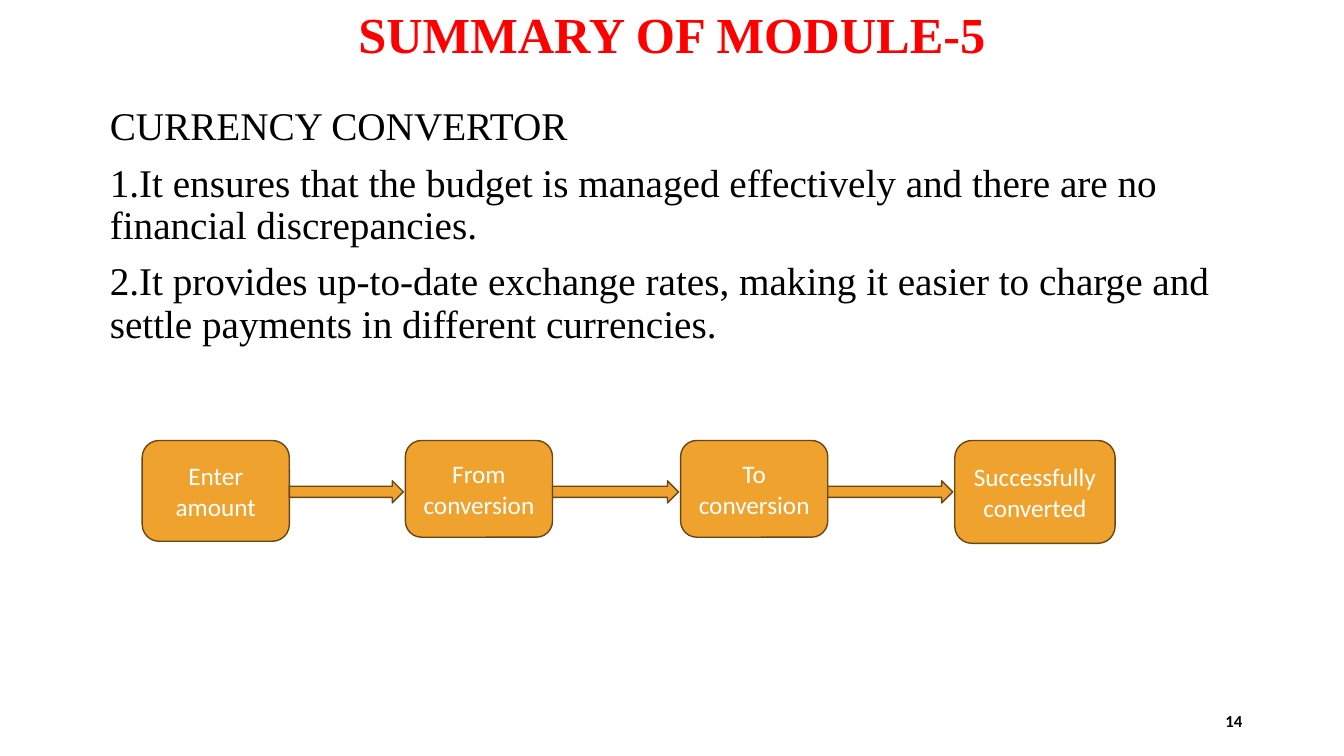
"""Build the module summary slide with its currency conversion flow."""
from dataclasses import dataclass
from itertools import pairwise

from pptx import Presentation
from pptx.dml.color import RGBColor
from pptx.enum.shapes import MSO_SHAPE
from pptx.enum.text import MSO_ANCHOR, PP_ALIGN
from pptx.util import Inches, Pt

WIDTH, HEIGHT = Inches(13.33), Inches(7.5)
SERIF, SANS = "Times New Roman", "Calibri"
ORANGE, BROWN, WHITE, BLACK, RED = "F0A22E", "694714", "FFFFFF", "000000", "FF0000"
STEP_TOP, ARROW_TOP, ARROW_HIGH, ARROW_GAP = 58.27, 63.6, 2.93, 0.15


@dataclass(frozen=True)
class Area:
    left: float
    top: float
    width: float
    height: float

    def place(self) -> tuple[int, int, int, int]:
        return (int(WIDTH * self.left / 100), int(HEIGHT * self.top / 100),
                int(WIDTH * self.width / 100), int(HEIGHT * self.height / 100))


@dataclass(frozen=True)
class Step:
    lines: tuple[str, ...]
    left: float
    width: float
    height: float


STEPS = (
    Step(("Enter amount",), 10.58, 10.95, 13.33),
    Step(("From", "conversion"), 30.16, 10.95, 12.8),
    Step(("To", "conversion"), 50.64, 10.95, 12.8),
    Step(("Successfully", "converted"), 71.04, 11.93, 13.6),
)
BODY = (
    "CURRENCY CONVERTOR",
    "1.It ensures that the budget is managed effectively and there are no financial discrepancies.",
    "2.It provides up-to-date exchange rates, making it easier to charge and settle payments"
    " in different currencies.",
)


def paint(code: str) -> RGBColor:
    return RGBColor.from_string(code)


def write(shape, lines: tuple[str, ...], *, size: float, font: str = SANS, color: str = BLACK,
          bold: bool = False, align=PP_ALIGN.LEFT, anchor=MSO_ANCHOR.MIDDLE,
          space: float = 1.0, before: float = 0) -> None:
    frame = shape.text_frame
    frame.word_wrap = True
    frame.vertical_anchor = anchor
    for index, line in enumerate(lines):
        para = frame.add_paragraph() if index else frame.paragraphs[0]
        para.alignment, para.line_spacing, para.space_before = align, space, Pt(before)
        run = para.add_run()
        run.text = line
        run.font.name, run.font.size, run.font.bold = font, Pt(size), bold
        run.font.color.rgb = paint(color)


def label(slide, area: Area, lines: tuple[str, ...], **style) -> None:
    write(slide.shapes.add_textbox(*area.place()), lines, **style)


def block(slide, kind: MSO_SHAPE, area: Area):
    shape = slide.shapes.add_shape(kind, *area.place())
    shape.shadow.inherit = False
    shape.fill.solid()
    shape.fill.fore_color.rgb = paint(ORANGE)
    shape.line.color.rgb = paint(BROWN)
    shape.line.width = Pt(1)
    return shape


def main() -> None:
    deck = Presentation()
    deck.slide_width, deck.slide_height = WIDTH, HEIGHT
    slide = deck.slides.add_slide(deck.slide_layouts[6])

    label(slide, Area(0, 0, 100, 9.87), ("SUMMARY OF MODULE-5",), size=36, font=SERIF,
          color=RED, bold=True, align=PP_ALIGN.CENTER, space=0.9)
    label(slide, Area(7.43, 13.47, 86.27, 63.47), BODY, size=28, font=SERIF,
          anchor=MSO_ANCHOR.TOP, space=0.9, before=10)
    label(slide, Area(70.67, 92.67, 22.5, 5.33), ("14",), size=12, bold=True,
          align=PP_ALIGN.RIGHT)

    for step in STEPS:
        box = block(slide, MSO_SHAPE.ROUNDED_RECTANGLE,
                    Area(step.left, STEP_TOP, step.width, step.height))
        write(box, step.lines, size=18, color=WHITE, align=PP_ALIGN.CENTER)
    for step, after in pairwise(STEPS):
        start = step.left + step.width
        block(slide, MSO_SHAPE.RIGHT_ARROW,
              Area(start, ARROW_TOP, after.left - start - ARROW_GAP, ARROW_HIGH))

    deck.save("out.pptx")


if __name__ == "__main__":
    main()
